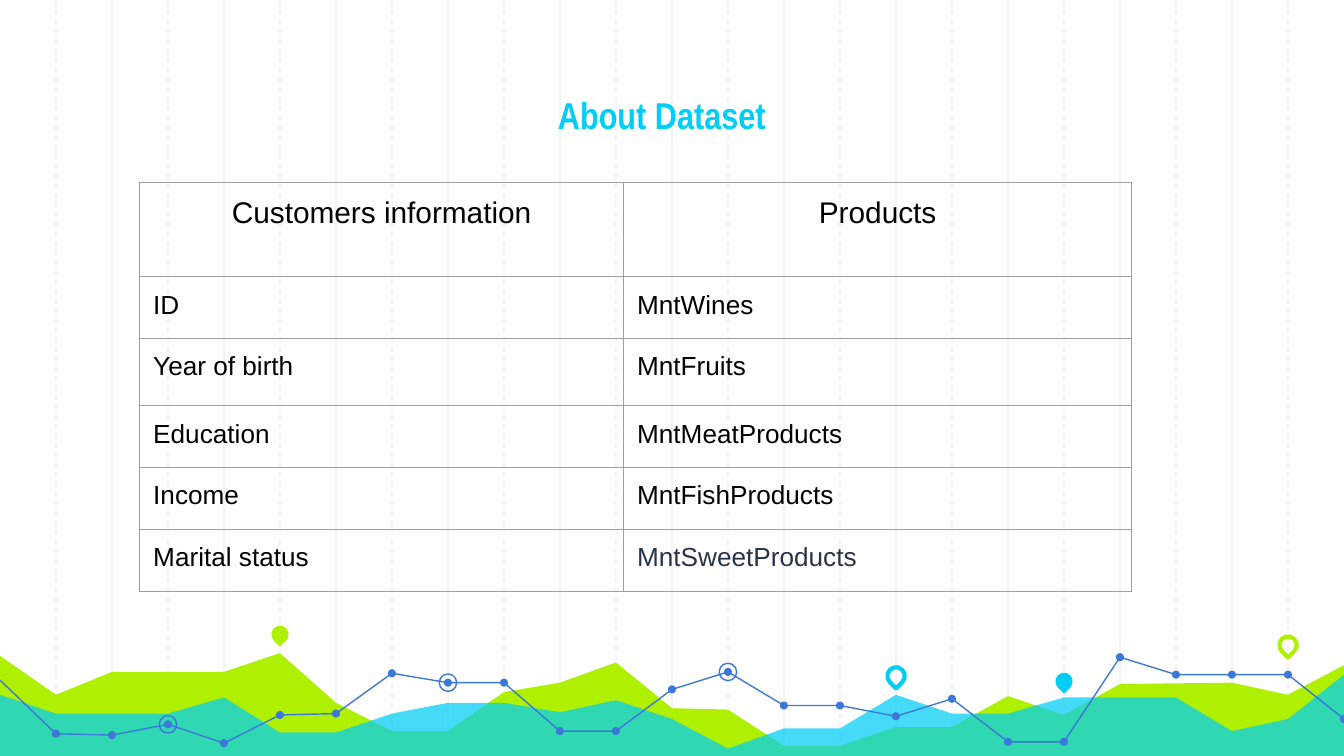
from lxml.etree import SubElement
from pptx import Presentation
from pptx.dml.color import RGBColor
from pptx.enum.dml import MSO_LINE
from pptx.enum.shapes import MSO_CONNECTOR, MSO_SHAPE
from pptx.enum.text import MSO_ANCHOR, MSO_AUTO_SIZE, PP_ALIGN
from pptx.oxml import parse_xml
from pptx.oxml.ns import nsdecls, qn
from pptx.util import Inches, Pt

CYAN, LIME, BLUE = "00CEF6", "AFF000", "3C78D8"
GRID, BORDER, BLACK, NAVY = "F3F3F3", "9E9E9E", "000000", "28324A"
WIDTH = 10
HEIGHT = WIDTH * 9 / 16
COLUMN = WIDTH / 24  # distance between the vertical grid lines
BOTTOM = 5.64

# Area outlines: grid column and height
LIME_AREA = [(0, 4.88), (1, 5.17), (2, 5), (4, 5), (5, 4.86), (6, 5.23), (7, 5.44), (8, 5.44),
             (9, 5.15), (10, 5.08), (11, 4.93), (12, 5.27), (13, 5.28), (14, 5.55), (15, 5.55),
             (16, 5.41), (17, 5.41), (18, 5.18), (19, 5.32), (20, 5.09), (22, 5.08),
             (23, 5.17), (24, 4.95)]
CYAN_AREA = [(0, 5.17), (1, 5.31), (3, 5.31), (4, 5.19), (5, 5.45), (6, 5.45), (7, 5.31),
             (8, 5.23), (9, 5.23), (10, 5.3), (11, 5.21), (12, 5.35), (13, 5.57), (14, 5.42),
             (15, 5.42), (16, 5.17), (17, 5.31), (18, 5.31), (19, 5.19), (21, 5.19),
             (22, 5.44), (23, 5.35), (24, 5.02)]
# Line chart: one height for each grid column
TREND = [5.06, 5.46, 5.47, 5.39, 5.53, 5.32, 5.31, 5.01, 5.08, 5.08, 5.44, 5.44, 5.13,
         5, 5.25, 5.25, 5.33, 5.2, 5.52, 5.52, 4.89, 5.02, 5.02, 5.02, 5.35]
RINGED = [8, 3, 13]

ROWS = [("Customers information", "Products"), ("ID", "MntWines"),
        ("Year of birth", "MntFruits"), ("Education", "MntMeatProducts"),
        ("Income", "MntFishProducts"), ("Marital status", "MntSweetProducts")]
ROW_HEIGHTS = [0.7, 0.46, 0.5, 0.46, 0.46, 0.46]
COLUMN_WIDTHS = [3.6, 3.78]


def color(value):
    return RGBColor.from_string(value)


def write(frame, text, size=14, font="Arial", fill=BLACK, bold=False, align=PP_ALIGN.LEFT):
    paragraph = frame.paragraphs[0]
    paragraph.alignment = align
    run = paragraph.add_run()
    run.text = text
    run.font.size, run.font.name, run.font.bold = Pt(size), font, bold
    run.font.color.rgb = color(fill)


class SlideBuilder:
    def __init__(self, slide):
        self.slide = slide
        self.shapes = slide.shapes

    def paint(self, shape, fill=None, line=None, width=0.75, alpha=None):
        shape.shadow.inherit = False
        if fill:
            shape.fill.solid()
            shape.fill.fore_color.rgb = color(fill)
            if alpha:
                rgb = shape.element.spPr.find(".//" + qn("a:srgbClr"))
                SubElement(rgb, qn("a:alpha"), val=str(alpha * 1000))
        else:
            shape.fill.background()
        if line:
            shape.line.color.rgb = color(line)
            shape.line.width = Pt(width)
        else:
            shape.line.fill.background()

    def grid_line(self, column):
        x = Inches(column * COLUMN)
        line = self.shapes.add_connector(MSO_CONNECTOR.STRAIGHT, x, 0, x, Inches(5.65))
        line.line.color.rgb = color(GRID)
        line.line.width = Pt(0.75)
        if column % 2:
            line.line.dash_style = MSO_LINE.DASH
        SubElement(line.element.spPr, qn("a:effectLst"))

    def outline(self, points, close=False, **style):
        corners = [(Inches(x), Inches(y)) for x, y in points]
        builder = self.shapes.build_freeform(*corners[0])
        builder.add_line_segments(corners[1:], close=close)
        self.paint(builder.convert_to_shape(), **style)

    def area(self, heights, **style):
        top = [(column * COLUMN, y) for column, y in heights]
        self.outline(top + [(WIDTH, BOTTOM), (0, BOTTOM)], close=True, **style)

    def marker(self, kind, column, y, size, rotation=0, **style):
        shape = self.shapes.add_shape(kind, Inches(column * COLUMN - size / 2),
                                      Inches(y - size / 2), Inches(size), Inches(size))
        shape.rotation = rotation
        self.paint(shape, **style)

    def pin(self, column, y, **style):
        self.marker(MSO_SHAPE.TEAR, column, y, 0.13, rotation=135, **style)

    def title(self, text):
        title = self.shapes.title
        title.left, title.top = Inches(1.1), Inches(0.34)
        title.width, title.height = Inches(7.65), Inches(0.78)
        frame = title.text_frame
        frame.auto_size = MSO_AUTO_SIZE.NONE
        frame.vertical_anchor = MSO_ANCHOR.BOTTOM
        frame.margin_left = frame.margin_right = Inches(0.1)
        frame.margin_top = frame.margin_bottom = Inches(0.1)
        write(frame, text, size=20, font="Arial Narrow", fill=CYAN, bold=True,
              align=PP_ALIGN.CENTER)
        # Bring the title in front of the grid
        title.element.getparent().append(title.element)

    def borders(self, cell):
        properties = cell._tc.get_or_add_tcPr()
        for position, side in enumerate(("lnL", "lnR", "lnT", "lnB")):
            properties.insert(position, parse_xml(
                f'<a:{side} {nsdecls("a")} w="{Pt(0.75)}"><a:solidFill>'
                f'<a:srgbClr val="{BORDER}"/></a:solidFill></a:{side}>'))

    def table(self, rows):
        table = self.shapes.add_table(
            len(rows), len(COLUMN_WIDTHS), Inches(1.04), Inches(1.36),
            Inches(sum(COLUMN_WIDTHS)), Inches(sum(ROW_HEIGHTS))).table
        table.first_row = table.horz_banding = False
        for column, width in zip(table.columns, COLUMN_WIDTHS):
            column.width = Inches(width)
        for row, height, texts in zip(table.rows, ROW_HEIGHTS, rows):
            row.height = Inches(height)
            header = texts == rows[0]
            for cell, text in zip(row.cells, texts):
                cell.margin_left = cell.margin_right = Inches(0.1)
                cell.margin_top = cell.margin_bottom = Inches(0.1)
                cell.fill.background()
                self.borders(cell)
                write(cell.text_frame, text, size=16 if header else 14,
                      fill=NAVY if text == rows[-1][-1] else BLACK,
                      align=PP_ALIGN.CENTER if header else PP_ALIGN.LEFT)


def main():
    presentation = Presentation()
    presentation.slide_width, presentation.slide_height = Inches(WIDTH), Inches(HEIGHT)
    builder = SlideBuilder(presentation.slides.add_slide(presentation.slide_layouts[5]))

    # Background grid: solid lines first, then dashed ones
    for column in [*range(2, 24, 2), *range(1, 24, 2)]:
        builder.grid_line(column)

    # Areas and pins
    builder.area(LIME_AREA, fill=LIME)
    builder.area(CYAN_AREA, fill=CYAN, alpha=73)
    builder.pin(5, 4.72, fill=LIME)
    builder.pin(16, 5.03, line=CYAN, width=2.25)
    builder.pin(19, 5.07, fill=CYAN)
    builder.pin(23, 4.8, line=LIME, width=2.25)

    # Trend line in three sections, with dots and rings
    points = [(column * COLUMN, y) for column, y in enumerate(TREND)]
    for first, last in ((0, 11), (11, 20), (20, 24)):
        builder.outline(points[first:last + 1], line=BLUE)
    for column, y in enumerate(TREND[1:], start=1):
        builder.marker(MSO_SHAPE.OVAL, column, y, 0.06, fill=BLUE)
    for column in RINGED:
        builder.marker(MSO_SHAPE.OVAL, column, TREND[column], 0.13, line=BLUE)

    # Title and table
    builder.title("About Dataset")
    builder.table(ROWS)
    presentation.save("out.pptx")


if __name__ == "__main__":
    main()
